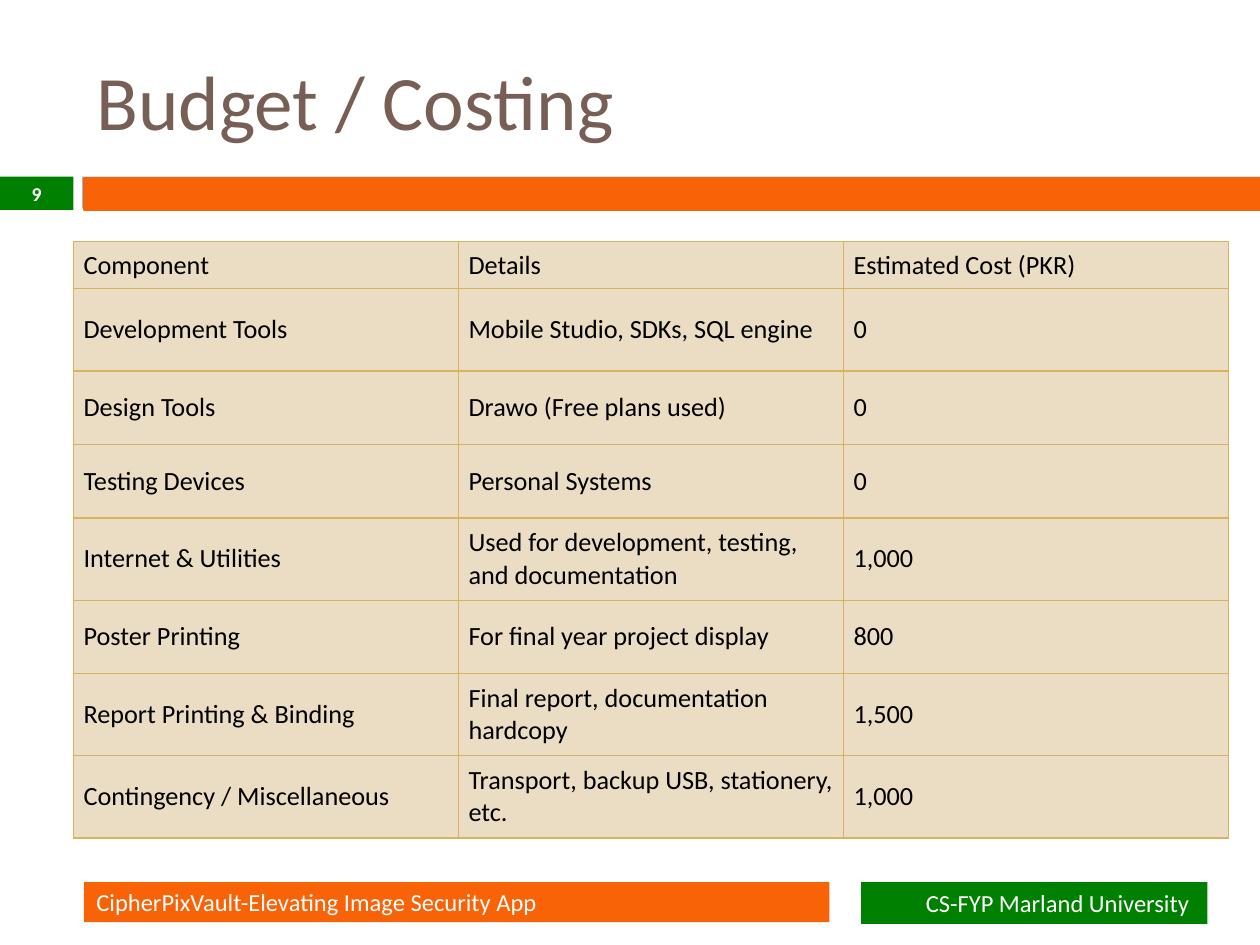
import dataclasses
from typing import Optional

import pptx
import pptx.dml.color
import pptx.enum.shapes
import pptx.enum.text
import pptx.oxml
import pptx.oxml.ns
import pptx.util

Pt = pptx.util.Pt
Align = pptx.enum.text.PP_ALIGN
Anchor = pptx.enum.text.MSO_ANCHOR


@dataclasses.dataclass(frozen=True)
class Theme:
    font: str = "Calibri"
    orange: str = "F86308"
    green: str = "008000"
    blue: str = "94B6D2"
    brown: str = "775F55"
    sand: str = "EBDDC3"
    gold: str = "D8B25C"
    white: str = "FFFFFF"
    black: str = "000000"
    title_size: float = 44
    table_size: float = 15
    footer_size: float = 14
    number_size: float = 11.2
    border_width: float = 0.79


@dataclasses.dataclass(frozen=True)
class Bar:
    left: float
    top: float
    width: float
    height: float
    fill: str
    line: Optional[str] = None
    text: str = ""
    size: float = 14
    bold: bool = False
    align: Align = Align.LEFT
    right_inset: float = 7.2


THEME = Theme()

BARS = [
    Bar(47, 101, 673, 18, THEME.blue),
    Bar(48, 102, 672, 18, THEME.orange, line=THEME.orange),
    Bar(48, 504, 426, 23, THEME.orange, size=THEME.footer_size,
        text="CipherPixVault-Elevating Image Security App"),
    Bar(0, 101, 42, 19, THEME.green, text="9", size=THEME.number_size,
        bold=True, align=Align.CENTER),
    Bar(492, 504, 198, 24, THEME.green, size=THEME.footer_size,
        text="CS-FYP Marland University", align=Align.RIGHT, right_inset=10.4),
]

COSTS = [
    ("Component", "Details", "Estimated Cost (PKR)"),
    ("Development Tools", "Mobile Studio, SDKs, SQL engine", "0"),
    ("Design Tools", "Drawo (Free plans used)", "0"),
    ("Testing Devices", "Personal Systems", "0"),
    ("Internet & Utilities", "Used for development, testing, and documentation", "1,000"),
    ("Poster Printing", "For final year project display", "800"),
    ("Report Printing & Binding", "Final report, documentation hardcopy", "1,500"),
    ("Contingency / Miscellaneous", "Transport, backup USB, stationery, etc.", "1,000"),
]
ROW_HEIGHTS = [27, 47, 42, 42, 47, 42, 47, 47]
COLUMN_WIDTH = 220


def rgb(color: str) -> pptx.dml.color.RGBColor:
    return pptx.dml.color.RGBColor.from_string(color)


def write_text(frame, text: str, *, size: float, color: str, bold: bool = False,
               align: Align = Align.LEFT) -> None:
    frame.word_wrap = True
    paragraph = frame.paragraphs[0]
    paragraph.alignment = align
    run = paragraph.add_run()
    run.text = text
    run.font.name = THEME.font
    run.font.size = Pt(size)
    run.font.bold = bold
    run.font.color.rgb = rgb(color)


def add_title(slide, text: str) -> None:
    box = slide.shapes.add_textbox(Pt(48), Pt(18), Pt(600), Pt(78))
    box.text_frame.vertical_anchor = Anchor.MIDDLE
    write_text(box.text_frame, text, size=THEME.title_size, color=THEME.brown)


def add_bar(slide, bar: Bar) -> None:
    shape = slide.shapes.add_shape(
        pptx.enum.shapes.MSO_SHAPE.RECTANGLE,
        Pt(bar.left), Pt(bar.top), Pt(bar.width), Pt(bar.height))
    shape.shadow.inherit = False
    shape.fill.solid()
    shape.fill.fore_color.rgb = rgb(bar.fill)
    if bar.line:
        shape.line.color.rgb = rgb(bar.line)
        shape.line.width = Pt(1.5)
    else:
        shape.line.fill.background()
    if bar.text:
        frame = shape.text_frame
        frame.vertical_anchor = Anchor.MIDDLE
        frame.margin_top = frame.margin_bottom = 0
        frame.margin_right = Pt(bar.right_inset)
        write_text(frame, bar.text, size=bar.size, color=THEME.white,
                   bold=bar.bold, align=bar.align)


def add_borders(cell) -> None:
    properties = cell._tc.get_or_add_tcPr()
    for side in ("lnL", "lnR", "lnT", "lnB"):
        properties.append(pptx.oxml.parse_xml(
            f'<a:{side} {pptx.oxml.ns.nsdecls("a")} w="{int(Pt(THEME.border_width))}">'
            f'<a:solidFill><a:srgbClr val="{THEME.gold}"/></a:solidFill></a:{side}>'))


def add_cost_table(slide) -> None:
    column_count = len(COSTS[0])
    table = slide.shapes.add_table(
        len(COSTS), column_count, Pt(42), Pt(138),
        Pt(COLUMN_WIDTH * column_count), Pt(sum(ROW_HEIGHTS))).table
    table.first_row = table.horz_banding = False
    for column in table.columns:
        column.width = Pt(COLUMN_WIDTH)
    for row, height, texts in zip(table.rows, ROW_HEIGHTS, COSTS):
        row.height = Pt(height)
        for cell, text in zip(row.cells, texts):
            add_borders(cell)
            cell.fill.solid()
            cell.fill.fore_color.rgb = rgb(THEME.sand)
            cell.vertical_anchor = Anchor.MIDDLE
            cell.margin_left = cell.margin_right = Pt(5.75)
            cell.margin_top = cell.margin_bottom = Pt(3)
            write_text(cell.text_frame, text, size=THEME.table_size, color=THEME.black)


def main() -> None:
    presentation = pptx.Presentation()
    presentation.slide_width = Pt(720)
    presentation.slide_height = Pt(540)
    slide = presentation.slides.add_slide(presentation.slide_layouts[6])
    add_title(slide, "Budget / Costing")
    for bar in BARS:
        add_bar(slide, bar)
    add_cost_table(slide)
    presentation.save("out.pptx")


if __name__ == "__main__":
    main()
